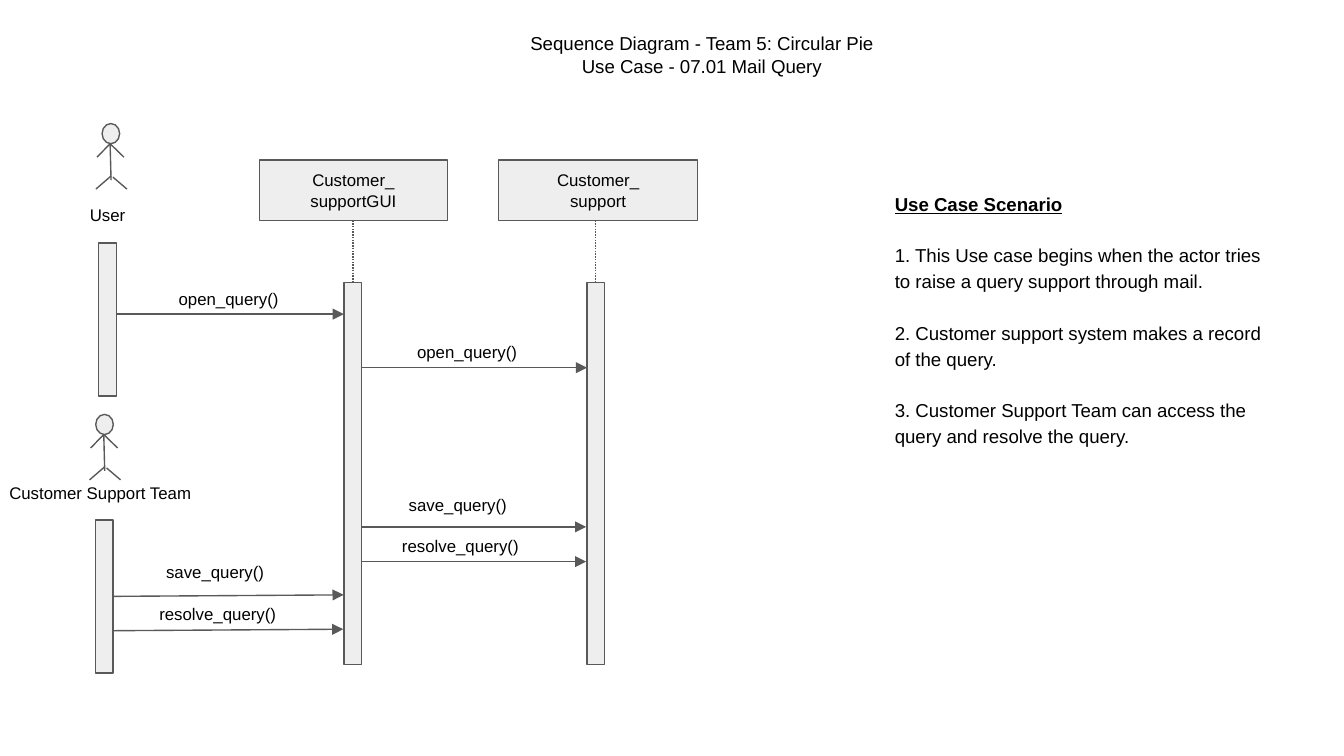
from typing import NamedTuple

from lxml import etree
from pptx import Presentation
from pptx.dml.color import RGBColor
from pptx.enum.dml import MSO_LINE
from pptx.enum.shapes import MSO_CONNECTOR, MSO_SHAPE
from pptx.enum.text import MSO_ANCHOR, PP_ALIGN
from pptx.oxml.ns import qn
from pptx.util import Pt

BLACK = RGBColor(0, 0, 0)
GREY = RGBColor(0x59, 0x59, 0x59)
LIGHT = RGBColor(0xEE, 0xEE, 0xEE)
RECT, OVAL = MSO_SHAPE.RECTANGLE, MSO_SHAPE.OVAL
STRAIGHT = MSO_CONNECTOR.STRAIGHT
DOT = MSO_LINE.ROUND_DOT
LEFT, CENTER = PP_ALIGN.LEFT, PP_ALIGN.CENTER
TOP, MIDDLE = MSO_ANCHOR.TOP, MSO_ANCHOR.MIDDLE
FONT = "Arial"
INSET = 7.2
BAR_W = 9.4
LIFELINE_TOP, LIFELINE_H = 151.2, 204.7
BOX_TOP, BOX_H = 85.7, 32.4


class Box(NamedTuple):
    x: float
    y: float
    w: float
    h: float


class Actor(NamedTuple):
    x: float
    y: float
    label: str
    label_box: Box
    bar: Box


class Participant(NamedTuple):
    x: float
    w: float
    label: str
    bar_x: float


class Message(NamedTuple):
    label: str
    label_box: Box
    start: tuple[float, float]
    end: tuple[float, float]
    align: PP_ALIGN = CENTER
    spacing: float = 1.0


LIMBS = [
    ((4.3, 10.8), (4.8, 30.3)),
    ((4.3, 10.8), (11.7, 18)),
    ((4.3, 10.8), (-2.7, 18)),
    ((4.8, 28.1), (-3.3, 35.1)),
    ((5.8, 28.7), (13.3, 35.1)),
]
ACTORS = [
    Actor(54.7, 66.2, "User", Box(23.8, 104.4, 67.7, 25.2), Box(52.9, 130.1, BAR_W, 82)),
    Actor(51.3, 222, "Customer Support Team", Box(-7.2, 253.4, 121.7, 25.2),
          Box(51.1, 278.5, BAR_W, 82)),
]
PARTICIPANTS = [
    Participant(139, 100.6, "Customer_\nsupportGUI", 184.4),
    Participant(267.1, 106.6, "Customer_\nsupport", 314.5),
]
MESSAGES = [
    Message("open_query()", Box(88.6, 149, 87.8, 25.2), (62.3, 168.3), (184.2, 168.3), LEFT),
    Message("open_query()", Box(208.8, 177.6, 82.8, 25.2), (193.8, 197), (314.5, 197)),
    Message("save_query()", Box(203.8, 259.4, 82.8, 25.2), (194.2, 282.3), (314, 282.3)),
    Message("resolve_query()", Box(205.2, 278.9, 82.8, 27.4), (193.8, 300.9), (314, 300.9),
            spacing=1.15),
    Message("save_query()", Box(73.8, 295.7, 82.8, 25.2), (60.5, 319.5), (184.1, 318.7)),
    Message("resolve_query()", Box(75.2, 315.4, 82.8, 27.4), (60.5, 337.9), (183.9, 337.1),
            spacing=1.15),
]
SCENARIO = [
    "Use Case Scenario",
    "1. This Use case begins when the actor tries to raise a query support through mail.",
    "2. Customer support system makes a record of the query.",
    "3. Customer Support Team can access the query and resolve the query.",
]


def write(s, text: str, size: float, align: PP_ALIGN = CENTER,
          anchor: MSO_ANCHOR = TOP, spacing: float = 1.0):
    tf = s.text_frame
    tf.text = text
    tf.word_wrap = True
    tf.vertical_anchor = anchor
    tf.margin_left = tf.margin_right = tf.margin_top = tf.margin_bottom = Pt(INSET)
    for p in tf.paragraphs:
        p.alignment = align
        p.line_spacing = spacing
        for r in p.runs:
            r.font.name = FONT
            r.font.size = Pt(size)
            r.font.color.rgb = BLACK
    return tf


def add_text(sp, box: Box, text: str, size: float = 9,
             align: PP_ALIGN = CENTER, spacing: float = 1.0):
    return write(sp.add_textbox(*map(Pt, box)), text, size, align, spacing=spacing)


def add_shape(sp, kind: MSO_SHAPE, box: Box):
    s = sp.add_shape(kind, *map(Pt, box))
    s.shadow.inherit = False
    s.fill.solid()
    s.fill.fore_color.rgb = LIGHT
    s.line.color.rgb = GREY
    s.line.width = Pt(0.75)
    return s


def add_line(sp, start: tuple[float, float], end: tuple[float, float],
             dotted: bool = False, arrow: bool = False) -> None:
    c = sp.add_connector(STRAIGHT, *map(Pt, start + end))
    c.line.color.rgb = GREY
    c.line.width = Pt(0.75)
    if dotted:
        c.line.dash_style = DOT
    if arrow:
        tail = etree.SubElement(c.line._get_or_add_ln(), qn("a:tailEnd"))
        for key, value in (("type", "triangle"), ("w", "med"), ("len", "med")):
            tail.set(key, value)
    etree.SubElement(c._element.spPr, qn("a:effectLst"))


def add_actor(sp, actor: Actor) -> None:
    for (x1, y1), (x2, y2) in LIMBS:
        add_line(sp, (actor.x + x1, actor.y + y1), (actor.x + x2, actor.y + y2))
    add_shape(sp, OVAL, Box(actor.x, actor.y, 9.4, 10.8))
    add_text(sp, actor.label_box, actor.label)
    add_shape(sp, RECT, actor.bar)


def add_participant(sp, part: Participant) -> None:
    s = add_shape(sp, RECT, Box(part.x, BOX_TOP, part.w, BOX_H))
    write(s, part.label, 9, anchor=MIDDLE)
    mid = part.bar_x + BAR_W / 2
    add_line(sp, (mid, BOX_TOP + BOX_H), (mid, LIFELINE_TOP), dotted=True)
    add_shape(sp, RECT, Box(part.bar_x, LIFELINE_TOP, BAR_W, LIFELINE_H))


def add_message(sp, msg: Message) -> None:
    add_line(sp, msg.start, msg.end, arrow=True)
    add_text(sp, msg.label_box, msg.label, align=msg.align, spacing=msg.spacing)


def add_scenario(sp) -> None:
    tf = add_text(sp, Box(472.3, 94.3, 213.8, 167.8), "\n".join(SCENARIO), 10, LEFT, 1.15)
    for p in tf.paragraphs[1:]:
        p.space_before = Pt(13.8)
    heading = tf.paragraphs[0].runs[0].font
    heading.bold = heading.underline = True


prs = Presentation()
prs.slide_width, prs.slide_height = Pt(720), Pt(405)
sp = prs.slides.add_slide(prs.slide_layouts[6]).shapes
add_text(sp, Box(265, 10.1, 221.8, 38.9),
         "Sequence Diagram - Team 5: Circular Pie\nUse Case - 07.01 Mail Query", 10)
add_scenario(sp)
for actor in ACTORS:
    add_actor(sp, actor)
for part in PARTICIPANTS:
    add_participant(sp, part)
for msg in MESSAGES:
    add_message(sp, msg)
prs.save("out.pptx")
